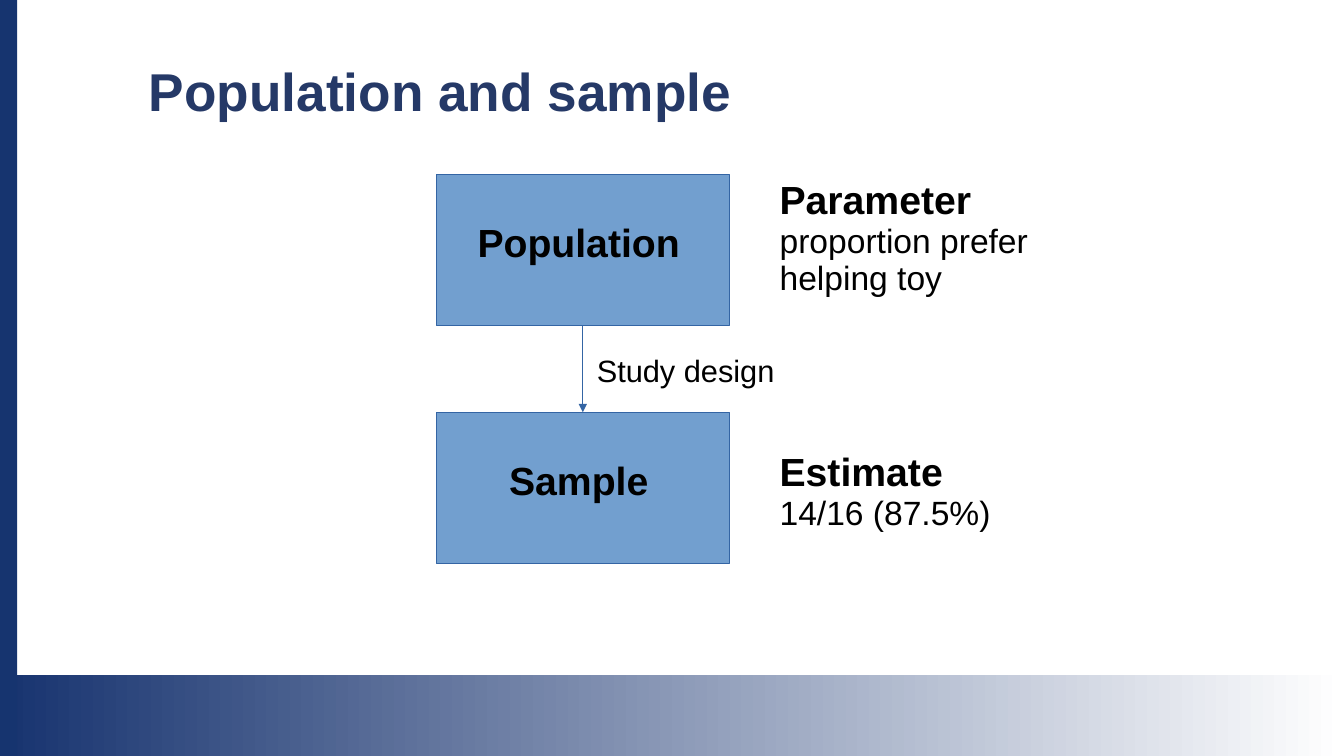
from dataclasses import dataclass

from lxml import etree
from pptx import Presentation
from pptx.dml.color import RGBColor
from pptx.enum.shapes import MSO_CONNECTOR, MSO_SHAPE
from pptx.enum.text import MSO_ANCHOR, PP_ALIGN
from pptx.oxml.ns import qn
from pptx.util import Inches, Pt

RECT = MSO_SHAPE.RECTANGLE
STRAIGHT = MSO_CONNECTOR.STRAIGHT
TOP, MIDDLE = MSO_ANCHOR.TOP, MSO_ANCHOR.MIDDLE
LEFT, CENTER = PP_ALIGN.LEFT, PP_ALIGN.CENTER
SIDE_TOP, SIDE_BOTTOM = 0, 2


@dataclass(frozen=True)
class Theme:
    font: str = "Arial"
    navy: RGBColor = RGBColor.from_string("16346F")
    fade_end: RGBColor = RGBColor.from_string("17336F")
    white: RGBColor = RGBColor.from_string("FFFFFF")
    title: RGBColor = RGBColor.from_string("253967")
    text: RGBColor = RGBColor.from_string("000000")
    box: RGBColor = RGBColor.from_string("729FCF")
    line: RGBColor = RGBColor.from_string("3465A4")
    line_width: float = 0.75
    title_size: int = 38
    heading_size: int = 28
    body_size: int = 24
    note_size: int = 22


T = Theme()
TITLE = dict(size=Pt(T.title_size), bold=True, color=T.title)
HEADING = dict(size=Pt(T.heading_size), bold=True, color=T.text)
BODY = dict(size=Pt(T.body_size), bold=False, color=T.text)
NOTE = dict(size=Pt(T.note_size), bold=False, color=T.text)


def write(tf, lines, align=LEFT, anchor=TOP, spacing=0.93):
    """Fill a text frame with (text, format) paragraphs."""
    tf.word_wrap = True
    tf.vertical_anchor = anchor
    for i, (text, fmt) in enumerate(lines):
        p = tf.paragraphs[0] if i == 0 else tf.add_paragraph()
        p.alignment, p.line_spacing = align, spacing
        r = p.add_run()
        r.text = text
        r.font.name = T.font
        for name, value in fmt.items():
            if name == "color":
                r.font.color.rgb = value
            else:
                setattr(r.font, name, value)


def add_text(s, x, y, w, h, lines, **layout):
    tb = s.shapes.add_textbox(*map(Inches, (x, y, w, h)))
    write(tb.text_frame, lines, **layout)


def add_rect(s, x, y, w, h):
    sp = s.shapes.add_shape(RECT, *map(Inches, (x, y, w, h)))
    sp.shadow.inherit = False
    sp.line.fill.background()
    return sp


def add_frame(s, w, h, bar_w=0.17, band_h=0.8):
    # Fading band along the bottom
    band = add_rect(s, 0, h - band_h, w, band_h)
    band.fill.gradient()
    band.fill.gradient_angle = 180
    for stop, color in zip(band.fill.gradient_stops, (T.white, T.fade_end)):
        stop.color.rgb = color
    # Solid bar on the left edge
    bar = add_rect(s, 0, 0, bar_w, h)
    bar.fill.solid()
    bar.fill.fore_color.rgb = T.navy


def add_box(s, x, y, w, h, label):
    sp = add_rect(s, x, y, w, h)
    sp.fill.solid()
    sp.fill.fore_color.rgb = T.box
    sp.line.color.rgb = T.line
    sp.line.width = Pt(T.line_width)
    tf = sp.text_frame
    tf.margin_right, tf.margin_bottom = Inches(0.18), Inches(0.15)
    write(tf, [(label, HEADING)], CENTER, MIDDLE)
    return sp


def add_arrow(s, start, end):
    c = s.shapes.add_connector(STRAIGHT, 0, 0, 0, 0)
    c.begin_connect(start, SIDE_BOTTOM)
    c.end_connect(end, SIDE_TOP)
    c.line.color.rgb = T.line
    c.line.width = Pt(T.line_width)
    etree.SubElement(c.line._get_or_add_ln(), qn("a:tailEnd"), type="triangle")
    etree.SubElement(c._element.spPr, qn("a:effectLst"))


def add_diagram(s, x, y, w, box_h=1.5, gap=0.86):
    sample_y = y + box_h + gap
    side_x = x + w + 0.4
    # Boxes joined by an arrow
    population = add_box(s, x, y, w, box_h, "Population")
    sample = add_box(s, x, sample_y, w, box_h, "Sample")
    add_arrow(s, population, sample)
    # Explanations beside the boxes
    add_text(s, side_x, y, 2.75, 1.28,
             [("Parameter", HEADING), ("proportion prefer helping toy", BODY)])
    add_text(s, side_x, sample_y + 0.34, 4.25, 1.34,
             [("Estimate", HEADING), ("14/16 (87.5%)", BODY)])
    # Arrow label
    add_text(s, x + w / 2 + 0.04, y + box_h + 0.24, 2.68, 0.45,
             [("Study design", NOTE)])


def main():
    width, height = 13.34, 7.5
    prs = Presentation()
    prs.slide_width, prs.slide_height = Inches(width), Inches(height)
    s = prs.slides.add_slide(prs.slide_layouts[6])
    add_frame(s, width, height)
    add_text(s, 1.38, 0.6, 11.14, 0.96,
             [("Population and sample", TITLE)], spacing=0.9)
    add_diagram(s, 4.33, 1.73, 2.91)
    prs.save("out.pptx")


if __name__ == "__main__":
    main()
